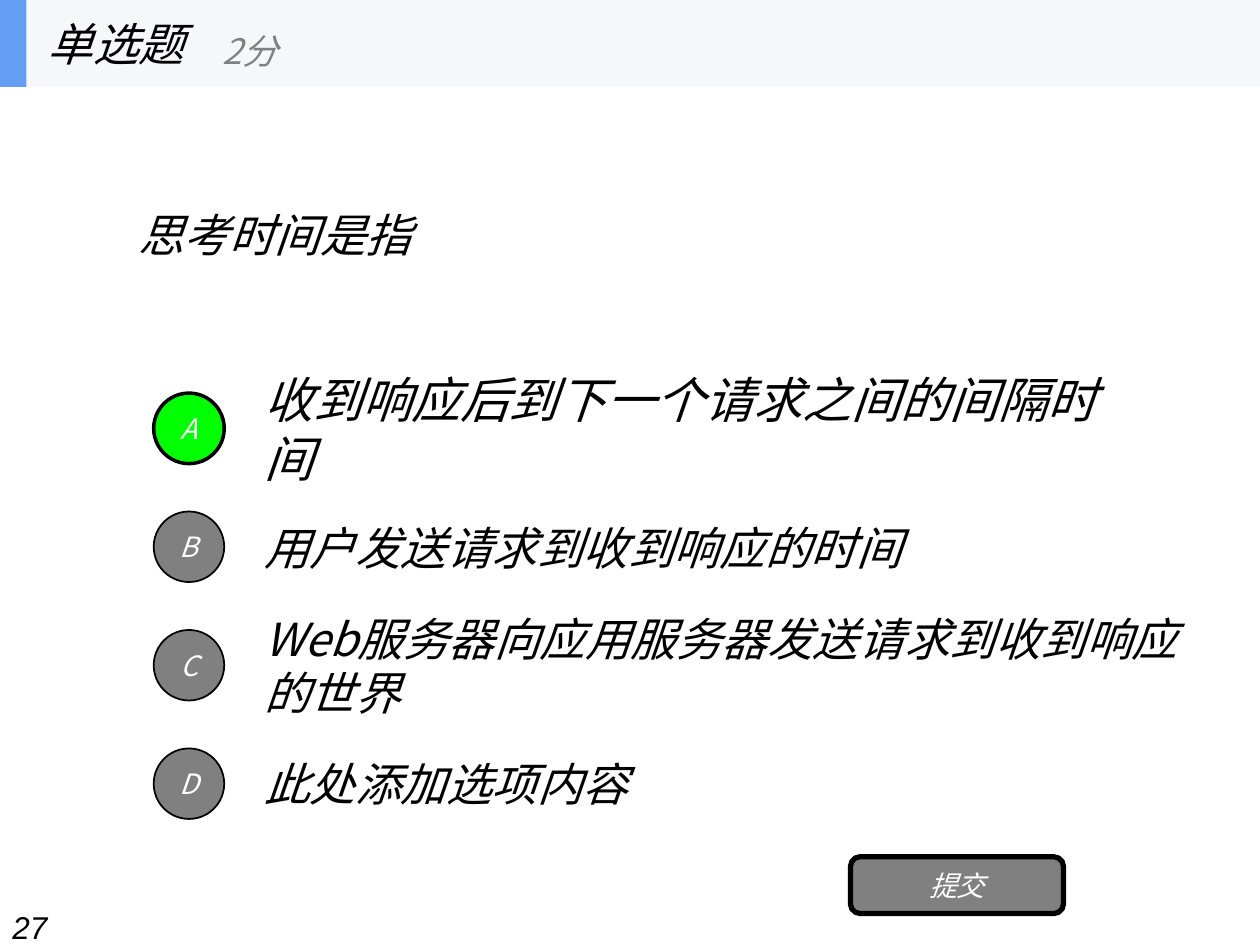
from pptx import Presentation
from pptx.dml.color import RGBColor
from pptx.enum.shapes import MSO_SHAPE
from pptx.enum.text import MSO_ANCHOR, PP_ALIGN
from pptx.oxml.ns import qn
from pptx.util import Inches, Pt
from lxml.etree import SubElement

BLACK = RGBColor(0, 0, 0)
WHITE = RGBColor(255, 255, 255)
GRAY = RGBColor(128, 128, 128)
GREEN = RGBColor(0, 255, 0)
BLUE = RGBColor(0x63, 0x9E, 0xF4)
PALE = RGBColor(0xF6, 0xF7, 0xF8)
SANS = "Noto Sans CJK SC"


def write(box, text, size, color=BLACK, face=SANS):
    frame = box.text_frame
    frame.word_wrap = True
    frame.vertical_anchor = MSO_ANCHOR.MIDDLE
    frame.text = text
    font = frame.paragraphs[0].runs[0].font
    font.size = Pt(size)
    font.italic = True
    font.name = face
    font.color.rgb = color
    SubElement(font._element, qn("a:ea")).set("typeface", SANS)


def draw(shapes, kind, rect, fill, line=0):
    shape = shapes.add_shape(kind, *map(Inches, rect))
    shape.shadow.inherit = False
    shape.fill.solid()
    shape.fill.fore_color.rgb = fill
    if line:
        shape.line.color.rgb = BLACK
        shape.line.width = Pt(line)
    else:
        shape.line.fill.background()
    return shape


deck = Presentation()
deck.slide_width = Inches(10)
deck.slide_height = Inches(7.5)
slide = deck.slides.add_slide(deck.slide_layouts[6])
shapes = slide.shapes

page = shapes.add_textbox(Inches(0), Inches(7.16), Inches(10), Inches(0.29))
write(page, "27", 18, face="Arial")
page.text_frame.vertical_anchor = MSO_ANCHOR.TOP

stem = shapes.add_textbox(Inches(1), Inches(0.69), Inches(8), Inches(2.34))
write(stem, "思考时间是指", 26)

choices = [
    ("A", "收到响应后到下一个请求之间的间隔时间", 7, 28, "Arial", GREEN, 2),
    ("B", "用户发送请求到收到响应的时间", 7, 26, SANS, GRAY, 1),
    ("C", "Web服务器向应用服务器发送请求到收到响应的世界", 7.49, 26, SANS, GRAY, 1),
    ("D", "此处添加选项内容", 7, 26, SANS, GRAY, 1),
]
for row, (mark, text, width, size, face, fill, line) in enumerate(choices):
    top = 3.05 + row * 0.94
    label = shapes.add_textbox(Inches(2), Inches(top), Inches(width), Inches(0.7))
    write(label, text, size, face=face)
    badge = draw(shapes, MSO_SHAPE.OVAL, (1.22, top + 0.07, 0.56, 0.56), fill, line)
    write(badge, mark, 16, WHITE)
    badge.text_frame.margin_left = badge.text_frame.margin_right = 0
    badge.text_frame.paragraphs[0].alignment = PP_ALIGN.CENTER

button = draw(shapes, MSO_SHAPE.ROUNDED_RECTANGLE, (6.75, 6.8, 1.69, 0.45), GRAY, 3)
write(button, "提交", 16, WHITE)
button.text_frame.paragraphs[0].alignment = PP_ALIGN.CENTER

head = shapes.add_group_shape().shapes
draw(head, MSO_SHAPE.RECTANGLE, (0, 0, 10, 0.69), PALE)
draw(head, MSO_SHAPE.RECTANGLE, (0, 0, 0.21, 0.69), BLUE)
title = head.add_textbox(Inches(0.28), Inches(0), Inches(2.08), Inches(0.69))
write(title, "单选题", 26)
score = head.add_textbox(Inches(1.67), Inches(0.12), Inches(2.5), Inches(0.56))
write(score, "2分", 20, GRAY)

deck.save("out.pptx")
